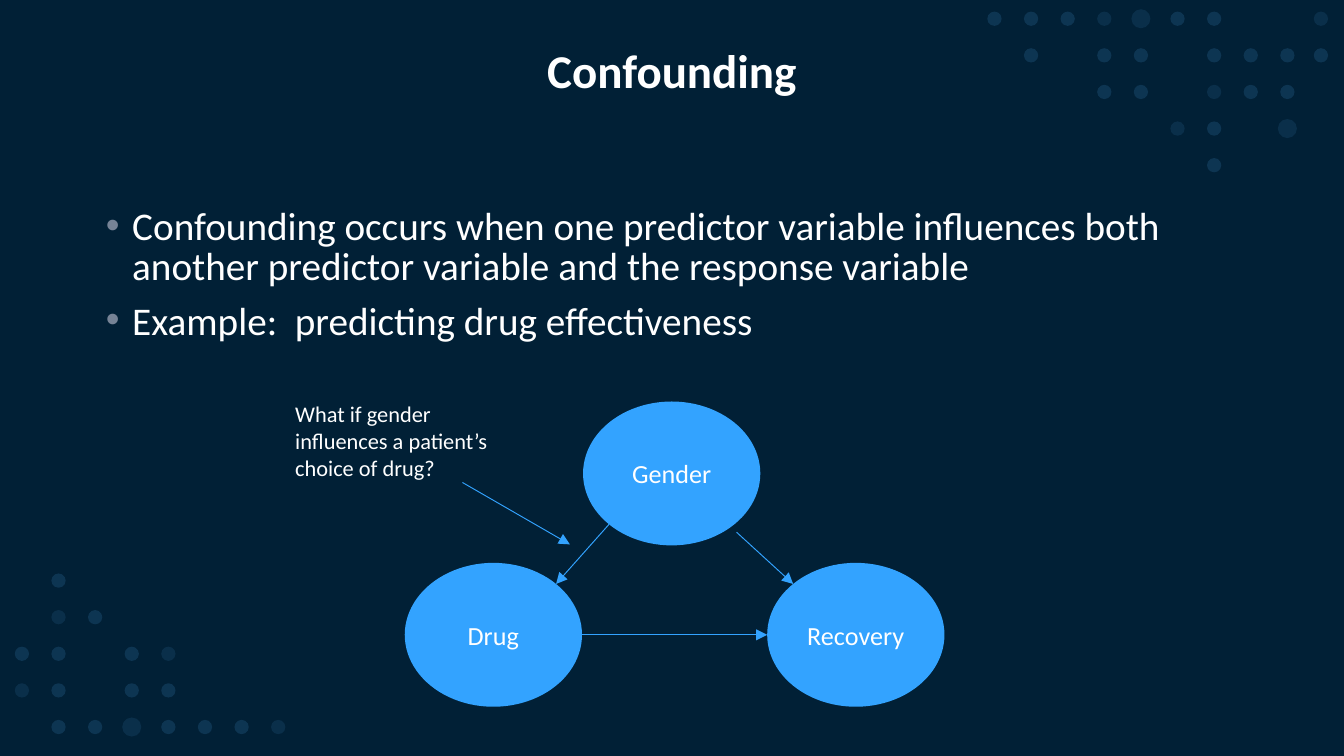
from collections import namedtuple
from dataclasses import dataclass
from math import cos, radians, sin

from lxml.etree import SubElement
from pptx import Presentation
from pptx.dml.color import RGBColor
from pptx.enum.shapes import MSO_CONNECTOR, MSO_SHAPE
from pptx.enum.text import MSO_ANCHOR as Anchor, PP_ALIGN as Align
from pptx.oxml.ns import qn
from pptx.util import Cm, Pt

Box = namedtuple("Box", "left top width height")  # all in cm


@dataclass(frozen=True)
class Theme:
    font: str = "Calibri"
    background: str = "012036"
    text: str = "FFFFFF"
    accent: str = "33A3FF"
    bullet: str = "768396"
    dot: str = "5CB5FF"
    title_size: float = 25.2
    body_size: float = 21
    node_size: float = 14
    note_size: float = 12
    line_width: float = 0.5


THEME = Theme()

# Dot patterns: o = normal, x = faint, O = large and faint
DOT_STYLES = {"o": (0.27, 14), "x": (0.27, 10), "O": (0.36, 10)}  # size, opacity %
DOT_PITCH = 0.692
TOP_DOTS = ("oooxOoo..x", ".o.oo.oooo", "...oo.xoo.", ".....xo.O.", "......o...")
BOTTOM_DOTS = (".o......", ".xo.....", "oo.ox...", "xo.oo...", ".ooOooox")


def rgb(color):
    return RGBColor.from_string(color)


def in_cm(*lengths):
    return [Cm(length) for length in lengths]


def style_runs(paragraph, size, bold=False):
    for run in paragraph.runs:
        font = run.font
        font.name, font.size, font.bold = THEME.font, Pt(size), bold
        font.color.rgb = rgb(THEME.text)


def add_ellipse(slide, box, color):
    ellipse = slide.shapes.add_shape(MSO_SHAPE.OVAL, *in_cm(*box))
    ellipse.shadow.inherit = False
    ellipse.fill.solid()
    ellipse.fill.fore_color.rgb = rgb(color)
    ellipse.line.fill.background()
    return ellipse


def add_text(slide, box, text):
    frame = slide.shapes.add_textbox(*in_cm(*box)).text_frame
    frame.word_wrap = True
    frame.text = text
    return frame


def add_arrow(slide, start, end):
    arrow = slide.shapes.add_connector(MSO_CONNECTOR.STRAIGHT, *in_cm(*start, *end))
    arrow.line.color.rgb = rgb(THEME.accent)
    arrow.line.width = Pt(THEME.line_width)
    properties = arrow.line._get_or_add_ln()
    SubElement(properties, qn("a:tailEnd"), type="triangle")
    SubElement(arrow._element.spPr, qn("a:effectLst"))


def rim_point(box, angle):
    """Point on an ellipse's rim; angle in degrees, clockwise from the right."""
    turn = radians(angle)
    return (box.left + box.width / 2 * (1 + cos(turn)),
            box.top + box.height / 2 * (1 + sin(turn)))


def add_dots(slide, box, pattern):
    """Dots on a square grid, the last column kept inside the box."""
    for row, marks in enumerate(pattern):
        for column, mark in enumerate(marks):
            if mark not in DOT_STYLES:
                continue
            size, opacity = DOT_STYLES[mark]
            left = min(box.left + column * DOT_PITCH, box.left + box.width - 0.27)
            top = box.top + row * DOT_PITCH
            shift = (0.27 - size) / 2
            dot = add_ellipse(slide, Box(left + shift, top + shift, size, size), THEME.dot)
            color = dot.fill._xPr.find(qn("a:solidFill"))[0]
            SubElement(color, qn("a:alpha"), val=str(opacity * 1000))


def add_title(slide, box):
    frame = add_text(slide, box, "Confounding")
    frame.vertical_anchor = Anchor.MIDDLE
    heading = frame.paragraphs[0]
    heading.alignment = Align.CENTER
    heading.line_spacing = 0.9
    style_runs(heading, THEME.title_size, bold=True)


def add_points(slide, box):
    points = (
        "Confounding occurs when one predictor variable influences both "
        "another predictor variable and the response variable",
        "Example:  predicting drug effectiveness",
    )
    for point in add_text(slide, box, "\n".join(points)).paragraphs:
        point.line_spacing = 0.85
        point.space_before = Pt(8)
        style_runs(point, THEME.body_size)
        # Hanging bullet
        properties = point._p.get_or_add_pPr()
        properties.set("marL", str(Cm(0.5)))
        properties.set("indent", str(-Cm(0.5)))
        bullet_color = SubElement(properties, qn("a:buClr"))
        SubElement(bullet_color, qn("a:srgbClr"), val=THEME.bullet)
        SubElement(properties, qn("a:buFont"), typeface="Arial")
        SubElement(properties, qn("a:buChar"), char="•")


def add_diagram(slide, box):
    def at(x, y):
        return box.left + x, box.top + y

    # Variables
    offsets = {"Recovery": (9.17, 3.2), "Drug": (2.32, 3.2), "Gender": (5.69, 0.15)}
    nodes = {name: Box(*at(*offset), 3.35, 2.72) for name, offset in offsets.items()}
    for name, node in nodes.items():
        frame = add_ellipse(slide, node, THEME.accent).text_frame
        frame.text = name
        frame.vertical_anchor = Anchor.MIDDLE
        frame.paragraphs[0].alignment = Align.CENTER
        style_runs(frame.paragraphs[0], THEME.node_size)

    # Influences
    recovery, drug, gender = nodes.values()
    add_arrow(slide, at(8.59, 2.62), rim_point(recovery, 225))
    add_arrow(slide, rim_point(drug, 0), rim_point(recovery, 180))
    add_arrow(slide, rim_point(gender, 135), rim_point(drug, -45))

    # Question about the gender-drug link
    question = add_text(slide, Box(*at(0, 0), 4.62, 1.8),
                        "What if gender influences a patient’s choice of drug?")
    style_runs(question.paragraphs[0], THEME.note_size)
    add_arrow(slide, at(3.41, 1.68), at(5.44, 2.85))


def main():
    deck = Presentation()
    deck.slide_width, deck.slide_height = in_cm(25.4, 14.29)
    slide = deck.slides.add_slide(deck.slide_layouts[6])
    background = slide.background.fill
    background.solid()
    background.fore_color.rgb = rgb(THEME.background)

    add_dots(slide, Box(18.66, 0.22, 6.44, 3.04), TOP_DOTS)
    add_dots(slide, Box(0.28, 10.84, 5.12, 3.04), BOTTOM_DOTS)
    add_title(slide, Box(1.75, 0.76, 21.9, 1.27))
    add_points(slide, Box(1.75, 3.81, 21.9, 2.9))
    add_diagram(slide, Box(5.33, 7.44, 12.52, 5.92))
    deck.save("out.pptx")


if __name__ == "__main__":
    main()
